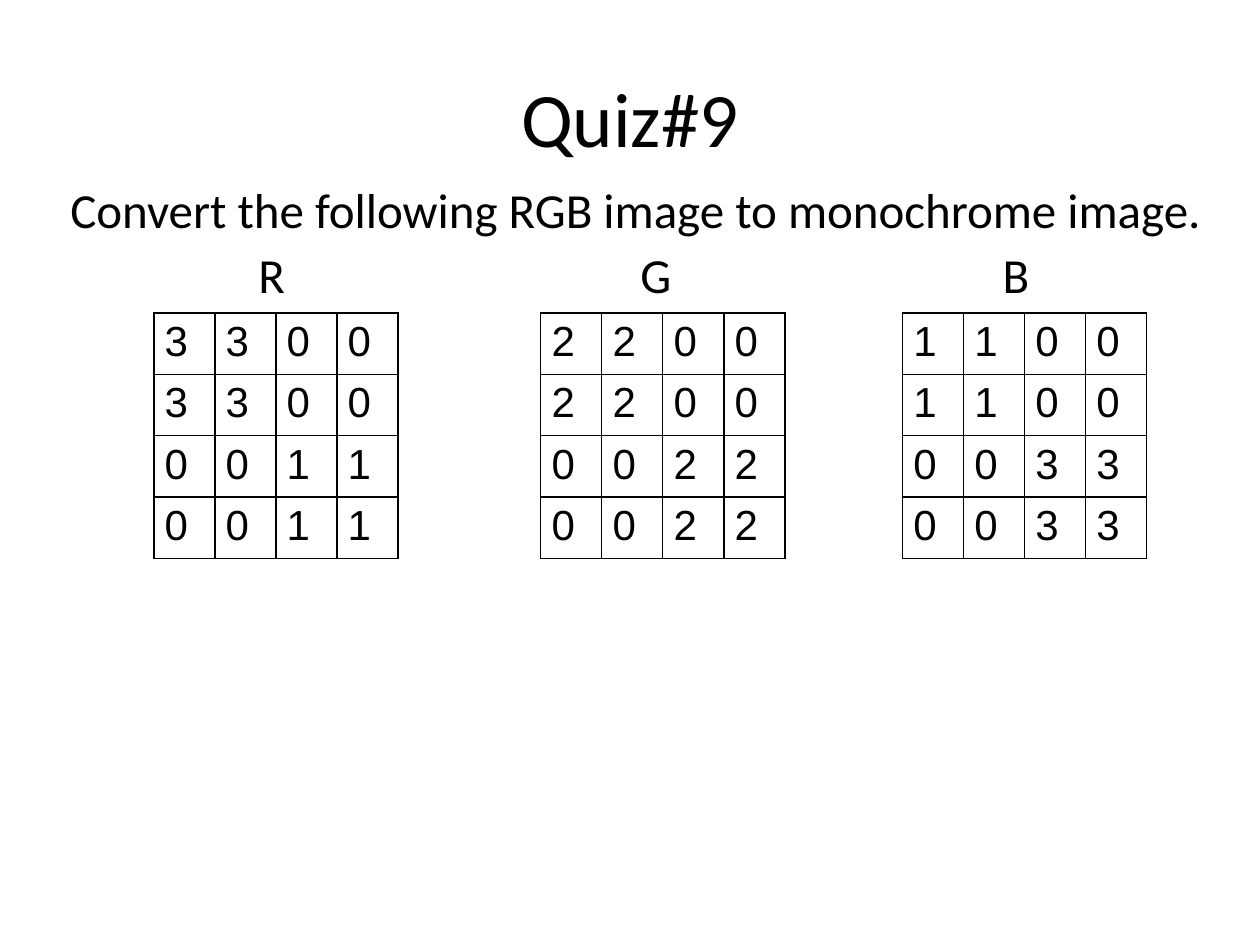
from dataclasses import dataclass

from lxml import etree
from pptx import Presentation, util as u
from pptx.dml.color import RGBColor
from pptx.enum import text
from pptx.oxml import ns


@dataclass(frozen=True)
class Theme:
    """Hold the colours, fonts and type sizes of the slide."""
    ink: RGBColor = RGBColor(0, 0, 0)
    heading_font: str = "Calibri"
    cell_font: str = "Arial"
    title_size: int = 44
    body_size: int = 28
    cell_size: int = 24
    border: float = 1


THEME = Theme()
CELL_WIDTH = 1.23
CELL_HEIGHT = 1.2
TABLE_TOP = 6.31
CHANNELS = (
    ("R", 3.1, 4.06, 3, 1),
    ("G", 10.9, 11.8, 2, 2),
    ("B", 18.19, 19.06, 1, 3),
)


def add_run(paragraph, content, font, size):
    """Add one run of text in the ink colour."""
    run = paragraph.add_run()
    run.text = content
    run.font.name = font
    run.font.size = u.Pt(size)
    run.font.color.rgb = THEME.ink


def add_text_box(slide, left, top, width, height):
    """Add an empty wrapping text box and return its frame."""
    shape = slide.shapes.add_textbox(u.Cm(left), u.Cm(top), u.Cm(width), u.Cm(height))
    shape.text_frame.word_wrap = True
    return shape.text_frame


def add_title(slide, content):
    """Add the centred slide title."""
    frame = add_text_box(slide, 1.27, 0.76, 22.86, 3.18)
    frame.vertical_anchor = text.MSO_ANCHOR.MIDDLE
    paragraph = frame.paragraphs[0]
    paragraph.alignment = text.PP_ALIGN.CENTER
    add_run(paragraph, content, THEME.heading_font, THEME.title_size)


def add_center_tabs(paragraph, positions):
    """Give a paragraph centred tab stops, in centimetres."""
    properties = paragraph._p.get_or_add_pPr()
    stops = etree.SubElement(properties, ns.qn("a:tabLst"))
    for position in positions:
        etree.SubElement(stops, ns.qn("a:tab"), pos=str(int(u.Cm(position))), algn="ctr")


def add_body(slide, question):
    """Add the question and the row of channel labels."""
    frame = add_text_box(slide, 0.86, 3.4, 24.31, 13.61)
    frame.margin_left = u.Cm(0.56)
    frame.margin_top = u.Cm(0.22)
    add_run(frame.paragraphs[0], question, THEME.heading_font, THEME.body_size)
    labels = frame.add_paragraph()
    add_center_tabs(labels, [channel[2] for channel in CHANNELS])
    labels.space_before = u.Pt(3.6)
    for channel in CHANNELS:
        add_run(labels, "\t" + channel[0], THEME.heading_font, THEME.body_size)


def add_borders(cell):
    """Draw a solid line on each side of a cell."""
    properties = cell._tc.get_or_add_tcPr()
    for index, side in enumerate(("lnL", "lnR", "lnT", "lnB")):
        line = etree.Element(ns.qn(f"a:{side}"), w=str(int(u.Pt(THEME.border))))
        fill = etree.SubElement(line, ns.qn("a:solidFill"))
        etree.SubElement(fill, ns.qn("a:srgbClr"), val=str(THEME.ink))
        properties.insert(index, line)


def format_cell(cell, value):
    """Write a value into a clear, bordered cell."""
    cell.fill.background()
    cell.margin_left = cell.margin_right = u.Cm(0.22)
    cell.margin_top = cell.margin_bottom = u.Cm(0.11)
    add_run(cell.text_frame.paragraphs[0], str(value), THEME.cell_font, THEME.cell_size)
    add_borders(cell)


def add_matrix(slide, left, upper, lower):
    """Add a 4 by 4 table with two diagonal blocks of values."""
    size = 4
    table = slide.shapes.add_table(
        size, size, u.Cm(left), u.Cm(TABLE_TOP),
        u.Cm(size * CELL_WIDTH), u.Cm(size * CELL_HEIGHT)).table
    table.first_row = table.horz_banding = False
    for column in table.columns:
        column.width = u.Cm(CELL_WIDTH)
    for row_index, row in enumerate(table.rows):
        row.height = u.Cm(CELL_HEIGHT)
        for column_index, cell in enumerate(row.cells):
            same_half = row_index // 2 == column_index // 2
            block_value = upper if row_index < 2 else lower
            format_cell(cell, block_value if same_half else 0)


def main():
    """Build and save the quiz slide."""
    presentation = Presentation()
    presentation.slide_width = u.Cm(25.4)
    presentation.slide_height = u.Cm(19.05)
    slide = presentation.slides.add_slide(presentation.slide_layouts[6])
    add_title(slide, "Quiz#9")
    add_body(slide, "Convert the following RGB image to monochrome image.")
    for _, left, _, upper, lower in CHANNELS:
        add_matrix(slide, left, upper, lower)
    presentation.save("out.pptx")


if __name__ == "__main__":
    main()
